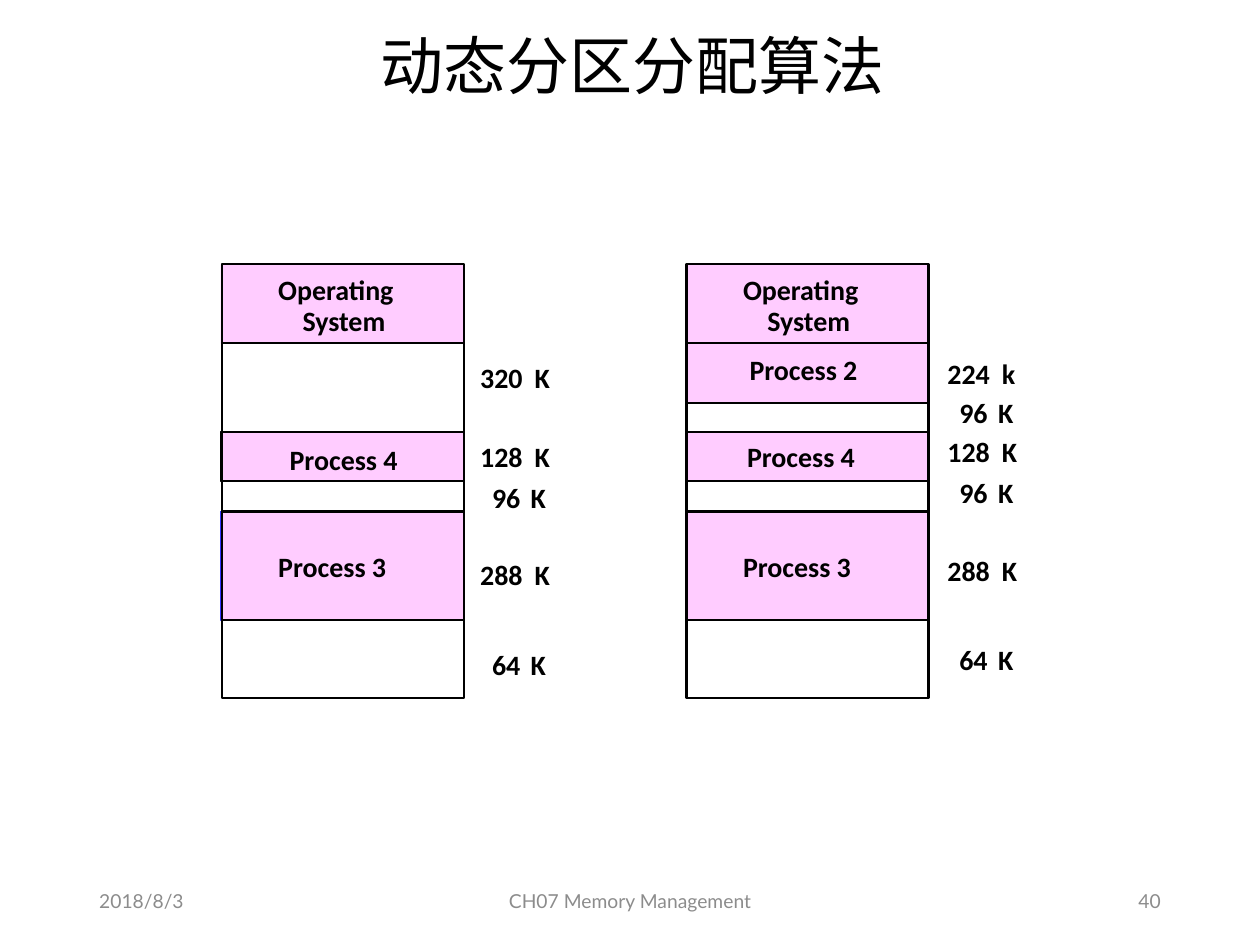
import pptx
import pptx.util
import pptx.dml.color
import pptx.enum.shapes
import pptx.enum.text
import pptx.oxml

Cm = pptx.util.Cm
Pt = pptx.util.Pt
RECT = pptx.enum.shapes.MSO_SHAPE.RECTANGLE
STRAIGHT = pptx.enum.shapes.MSO_CONNECTOR.STRAIGHT
ALIGN = pptx.enum.text.PP_ALIGN
ANCHOR = pptx.enum.text.MSO_ANCHOR
FIT = pptx.enum.text.MSO_AUTO_SIZE
NS = 'xmlns:a="http://schemas.openxmlformats.org/drawingml/2006/main"'
PINK, BLACK, BLUE, GRAY = "FFCCFF", "000000", "3333FF", "8C8C8C"


def paint(part, color):
    """Give a fill, or a font colour, from a hex string."""
    tint = pptx.dml.color.RGBColor.from_string(color)
    if hasattr(part, "solid"):
        part.solid()
        part.fore_color.rgb = tint
    else:
        part.color.rgb = tint


def write(text, x, y, w, h=0.69, size=16, face="Calibri", color=BLACK,
          bold=True, align=ALIGN.LEFT, label=True, space=None):
    """Add a text box; labels have no insets and fit their text."""
    box = slide.shapes.add_textbox(Cm(x), Cm(y), Cm(w), Cm(h))
    frame = box.text_frame
    frame.word_wrap = not label
    if label:
        frame.margin_left = frame.margin_right = 0
        frame.margin_top = frame.margin_bottom = 0
        frame.auto_size = FIT.SHAPE_TO_FIT_TEXT
    else:
        frame.vertical_anchor = ANCHOR.MIDDLE
    para = frame.paragraphs[0]
    para.alignment = align
    para.line_spacing = space
    run = para.add_run()
    run.text = text
    run.font.size = Pt(size)
    run.font.bold = bold
    run.font.name = face
    paint(run.font, color)
    props = run.font._element
    props.append(pptx.oxml.parse_xml(f'<a:ea {NS} typeface="{face}"/>'))


deck = pptx.Presentation()
deck.slide_width, deck.slide_height = Cm(25.4), Cm(19.05)
slide = deck.slides.add_slide(deck.slide_layouts[6])

# Title and footer
write("动态分区分配算法", 1.8, 0.43, 21.9, h=1.93, size=36, bold=False,
      face="Noto Sans CJK SC", align=ALIGN.CENTER, label=False, space=0.9)
for text, x, w, align in [
    ("2018/8/3", 1.75, 5.72, ALIGN.LEFT),
    ("CH07 Memory Management", 8.41, 8.59, ALIGN.CENTER),
    ("40", 17.93, 5.72, ALIGN.RIGHT),
]:
    write(text, x, 17.65, w, h=1.02, size=11, face="Lato", color=GRAY,
          bold=False, align=align, label=False)

# Memory maps: left edge, bands (top, height, outline), cuts, names, sizes
top, wide, high = 5.33, 4.88, 8.74
mid = top + high / 2
cuts = [6.91, 8.71, mid, 10.31, 12.5]
names = [("Operating", 1.14, 5.49, 2.49), ("System", 1.63, 6.12, 1.73),
         ("Process 3", 1.14, 11.07, 2.24)]
maps = [
    (4.47,
     [(top, 1.6, None), (10.31, 2.19, BLUE), (8.71, 0.99, BLACK)],
     cuts,
     names + [("Process 4", 1.37, 8.92, 2.24)],
     9.68,
     [("320", "K", 7.26), ("128", "K", 8.86), ("96", "K", 9.68),
      ("288", "K", 11.25), ("64", "K", 13.06)]),
    (13.84,
     [(top, 2.79, None), (10.31, 2.19, BLACK), (8.71, 0.99, None)],
     cuts + [8.12],
     names + [("Process 4", 1.22, 8.86, 2.24),
              ("Process 2", 1.27, 7.11, 2.24)],
     19.1,
     [("224", "k", 7.19), ("96", "K", 7.98), ("128", "K", 8.76),
      ("96", "K", 9.58), ("288", "K", 11.15), ("64", "K", 12.95)]),
]

for left, bands, marks, words, side, sizes in maps:
    # Used bands
    for y, h, edge in bands:
        band = slide.shapes.add_shape(
            RECT, Cm(left - 0.02), Cm(y), Cm(wide + 0.04), Cm(h))
        band.shadow.inherit = False
        paint(band.fill, PINK)
        if edge:
            paint(band.line.fill, edge)
            band.line.width = Pt(0.75)
        else:
            band.line.fill.background()

    # Frame
    frame = slide.shapes.add_shape(RECT, Cm(left), Cm(top), Cm(wide), Cm(high))
    frame.shadow.inherit = False
    frame.fill.background()
    paint(frame.line.fill, BLACK)
    frame.line.width = Pt(1.25)

    # Lines between the parts
    for y in marks:
        rule = slide.shapes.add_connector(
            STRAIGHT, Cm(left), Cm(y), Cm(left + wide), Cm(y))
        if y == mid:
            rule.begin_connect(frame, 1)
            rule.end_connect(frame, 3)
        paint(rule.line.fill, BLACK)
        rule.line.width = Pt(1.25)
        rule._element.spPr.append(
            pptx.oxml.parse_xml(f"<a:effectLst {NS}/>"))

    # Names inside, sizes beside
    for text, x, y, w in words:
        write(text, left + x, y, w)
    for count, unit, y in sizes:
        short = len(count) == 2
        write(count, side + (0.24 if short else 0), y, 0.71 if short else 0.99)
        write(unit, side + (1.02 if short else 1.1), y,
              0.3 if unit == "k" else 0.43)

deck.save("out.pptx")
